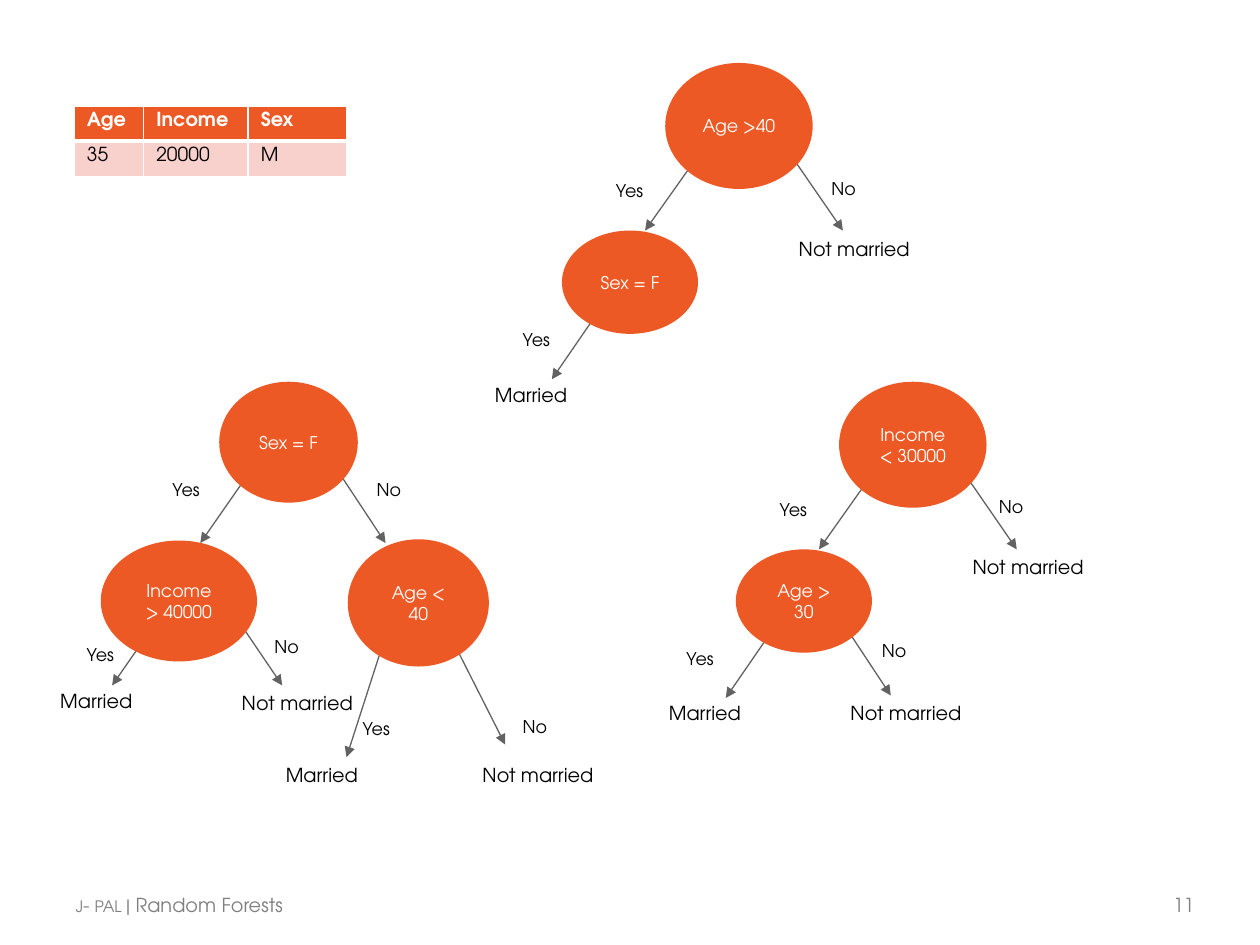
from collections import namedtuple
from dataclasses import dataclass

from lxml import etree
from pptx import Presentation
from pptx import util as u
from pptx.dml.color import RGBColor
from pptx.enum import shapes, text
from pptx.oxml import ns

COLS, ROWS = 100, 75
Box = namedtuple("Box", "x y w h", defaults=(0, 0))


@dataclass(frozen=True)
class Theme:
    font: str = "TeX Gyre Adventor"
    accent: str = "ED5925"
    tint: str = "F8D1CD"
    light: str = "FFFFFF"
    dark: str = "000000"
    line: str = "626262"
    muted: str = "7F7F7F"
    small: float = 10
    body: float = 11
    caps: float = 9


T = Theme()
prs = Presentation()
prs.slide_width, prs.slide_height = u.Inches(10), u.Inches(7.5)
COL, ROW = prs.slide_width / COLS, prs.slide_height / ROWS


def grid(x, y):
    return u.Emu(round(x * COL)), u.Emu(round(y * ROW))


def place(box, origin=Box(0, 0)):
    return *grid(origin.x + box.x, origin.y + box.y), *grid(box.w, box.h)


def rgb(value):
    return RGBColor.from_string(value)


def write(tf, content, size=T.body, color=T.dark, bold=False, align=None, spacing=None):
    p = tf.paragraphs[0]
    p.alignment = align
    for i, line in enumerate(content.split("\n")):
        if i:
            p.add_line_break()
        r = p.add_run()
        r.text = line
        r.font.name, r.font.size, r.font.bold = T.font, u.Pt(size), bold
        r.font.color.rgb = rgb(color)
        if spacing:
            r.font._element.set("spc", str(spacing))


def text_box(parent, box, origin=Box(0, 0)):
    tf = parent.add_textbox(*place(box, origin)).text_frame
    tf.word_wrap = True
    tf.auto_size = text.MSO_AUTO_SIZE.SHAPE_TO_FIT_TEXT
    return tf


def arrow(parent, origin, x1, y1, x2, y2):
    start, end = grid(origin.x + x1, origin.y + y1), grid(origin.x + x2, origin.y + y2)
    sp = parent.add_connector(shapes.MSO_CONNECTOR.STRAIGHT, *start, *end)
    sp.line.color.rgb, sp.line.width = rgb(T.line), u.Pt(0.75)
    etree.SubElement(sp.line._get_or_add_ln(), ns.qn("a:tailEnd"), type="triangle")
    etree.SubElement(sp._element.spPr, ns.qn("a:effectLst"))


def node(parent, origin, content, *box):
    sp = parent.add_shape(shapes.MSO_SHAPE.OVAL, *place(Box(*box), origin))
    sp.shadow.inherit = False
    sp.fill.solid()
    sp.fill.fore_color.rgb = rgb(T.accent)
    sp.line.fill.background()
    tf = sp.text_frame
    tf.word_wrap, tf.vertical_anchor = True, text.MSO_ANCHOR.MIDDLE
    write(tf, content, size=T.small, color=T.light, align=text.PP_ALIGN.CENTER)


def tree(s, box, arrows, nodes, answers, leaves):
    group = s.shapes.add_group_shape().shapes
    for ends in arrows:
        arrow(group, box, *ends)
    for item in nodes:
        node(group, box, *item)
    for labels, size, height in ((answers, T.small, 2.7), (leaves, T.body, 2.9)):
        for content, x, y, w in labels:
            write(text_box(group, Box(x, y, w, height), box), content, size=size)


def border(tc_pr, side, width):
    ln = etree.SubElement(tc_pr, ns.qn(f"a:{side}"), w=str(u.Pt(width)))
    fill = etree.SubElement(ln, ns.qn("a:solidFill"))
    etree.SubElement(fill, ns.qn("a:srgbClr"), val=T.light)


def person_table(s, box, rows, widths):
    table = s.shapes.add_table(len(rows), len(widths), *place(box)).table
    for column, share in zip(table.columns, widths):
        column.width = round(box.w * COL * share / sum(widths))
    for i, row in enumerate(rows):
        head = i == 0
        for j, content in enumerate(row):
            cell = table.cell(i, j)
            cell.margin_top, cell.margin_bottom = u.Inches(0.05), 0
            cell.vertical_anchor = text.MSO_ANCHOR.TOP
            write(cell.text_frame, content, bold=head, color=T.light if head else T.dark)
            tc_pr = cell._tc.get_or_add_tcPr()
            for side in ("lnL", "lnR", "lnT", "lnB"):
                meets_head = side == ("lnB" if head else "lnT")
                border(tc_pr, side, 3 if meets_head else 1)
            cell.fill.solid()
            cell.fill.fore_color.rgb = rgb(T.accent if head else T.tint)


def footer(s, box, number_width):
    title = (("J", T.caps, -10), ("- ", T.body, -10), ("PAL ", T.caps, -10),
             ("| Random Forests", T.body, None))
    number = (("11", T.body, None),)
    end = Box(box.x + box.w - number_width, box.y, number_width, box.h)
    for area, parts in ((box._replace(w=box.w / 4), title), (end, number)):
        tf = text_box(s.shapes, area)
        tf.margin_left = tf.margin_right = tf.margin_bottom = 0
        tf.margin_top = u.Inches(0.01)
        for content, size, spacing in parts:
            write(tf, content, size=size, color=T.muted, spacing=spacing)


STEM = [(24.6, 7.5, 28.6, 13.3), (16.3, 8.5, 12.9, 13.3), (8.8, 20.3, 5.5, 25.1)]
STEM_LEAVES = [("Not married", 24.1, 13.3, 12.2), ("Married", 0, 24.9, 9.2)]
ROOT, CHILD = (14.5, 0, 11.7, 10), (6.3, 13.3, 10.8, 8.2)


def main():
    s = prs.slides.add_slide(prs.slide_layouts[6])
    person_table(s, Box(5.9, 8.4, 21.6, 5.6),
                 [("Age", "Income", "Sex"), ("35", "20000", "M")], (55, 83, 78))
    tree(s, Box(38.3, 5), STEM,
         [("Age >40", *ROOT), ("Sex = F", *CHILD)],
         [("Yes", 9.6, 8.8, 5.8), ("No", 26.7, 8.6, 5.8), ("Yes", 2.2, 20.6, 5.8)],
         STEM_LEAVES)
    tree(s, Box(3.8, 30.3),
         [(23.1, 7.2, 26.8, 12.8), (15.3, 8.2, 12.1, 12.8), (8.3, 19.5, 5.1, 24.1),
          (14.8, 18.5, 18.6, 24.1), (26.5, 21.1, 23.7, 29.8), (32.2, 20.7, 36.3, 28.8)],
         [("Sex = F", 13.6, 0, 11, 9.6), ("Income\n> 40000", 4.2, 12.6, 12.4, 9.6),
          ("Age < 40", 23.8, 12.5, 11.2, 10.1)],
         [("Yes", 8.9, 7.2, 7.5), ("No", 25.1, 7.2, 4.4), ("Yes", 2.1, 20.3, 5.4),
          ("No", 17, 19.7, 5), ("Yes", 24, 26.2, 5.4), ("No", 36.7, 26, 4.9)],
         [("Married", 0, 23.9, 8.6), ("Not married", 14.4, 24.1, 11.5),
          ("Married", 17.9, 29.8, 8.6), ("Not married", 33.5, 29.8, 11.5)])
    tree(s, Box(52.1, 30.3), STEM + [(14.9, 19.3, 18.6, 24.9)],
         [("Income < 30000", *ROOT), ("Age > 30", *CHILD)],
         [("Yes", 8.8, 8.8, 6.6), ("No", 26.2, 8.6, 6.6), ("Yes", 1.4, 20.6, 6.6),
          ("No", 16.9, 20, 6.2)],
         STEM_LEAVES + [("Not married", 14.4, 24.9, 11.5)])
    footer(s, Box(6, 70.8, 89.9, 2), 2.8)
    prs.save("out.pptx")


if __name__ == "__main__":
    main()
